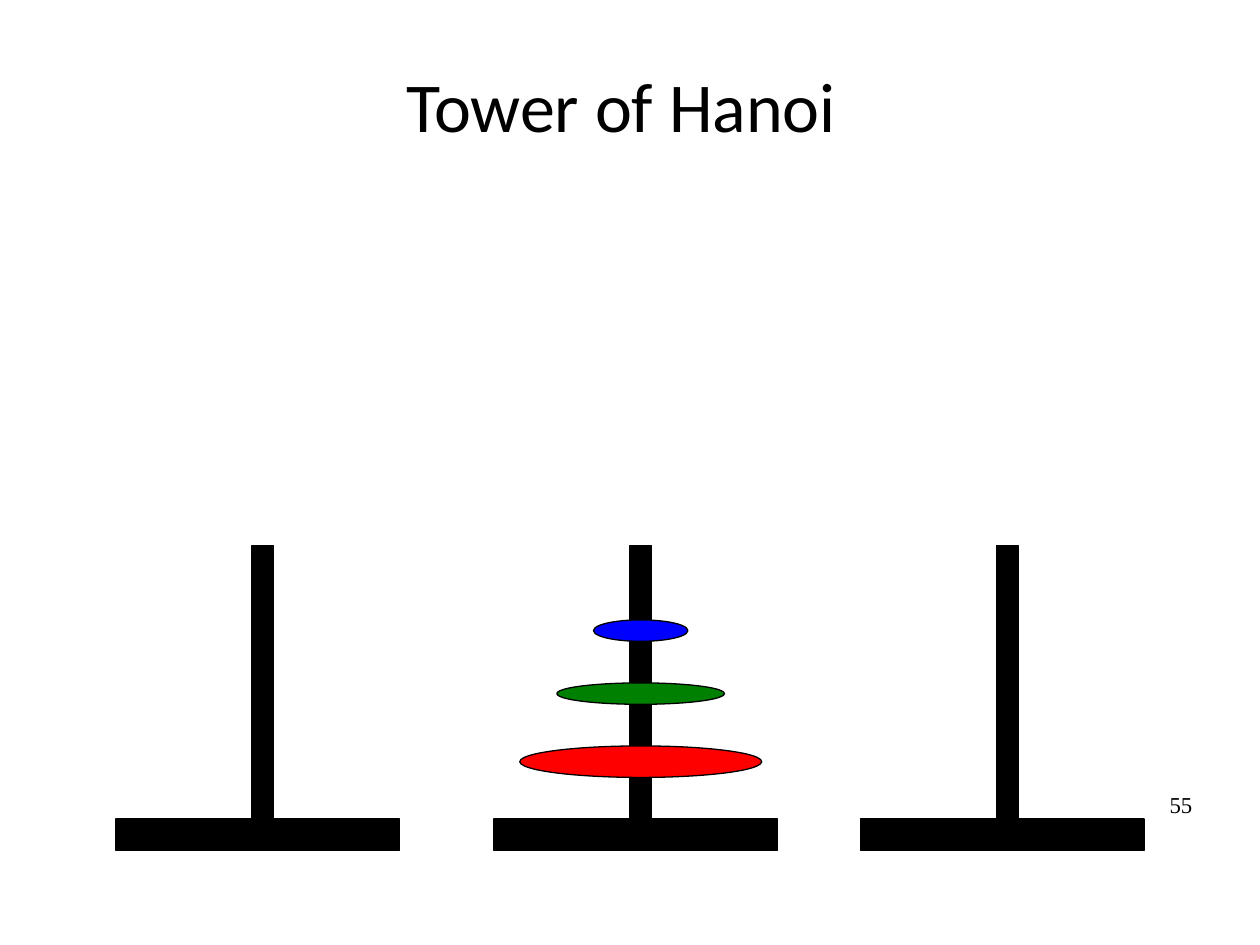
from pptx import Presentation
from pptx.util import Inches, Pt
from pptx.dml.color import RGBColor
from pptx.enum.shapes import MSO_SHAPE as Kind
from pptx.enum.text import MSO_ANCHOR as Anchor, PP_ALIGN as Align

BLACK = RGBColor(0, 0, 0)
RED = RGBColor(255, 0, 0)
GREEN = RGBColor(0, 128, 0)
BLUE = RGBColor(0, 0, 255)

LABELS = [
    ("Tower of Hanoi", (0.5, 0.3, 8.86, 1.12), "Calibri", 40, Align.CENTER, Anchor.MIDDLE, 0.97),
    ("55", (8.89, 6.27, 0.67, 0.57), "Times New Roman", 13, Align.RIGHT, Anchor.TOP, 0.78),
]
TOWERS = [0.92, 3.92, 6.83]
DISKS = [(5.92, 1.92, 0.25, RED), (5.42, 1.33, 0.17, GREEN), (4.92, 0.75, 0.17, BLUE)]
BASE_TOP, BASE_W, BASE_H = 6.5, 2.25, 0.25
POLE_TOP, POLE_W, POLE_IN = 4.33, 0.17, 1.08
MID = TOWERS[1] + POLE_IN + POLE_W / 2


def draw(parent, kind, box, fill):
    shape = parent.add_shape(kind, *map(Inches, box))
    shape.shadow.inherit = False
    shape.fill.solid()
    shape.fill.fore_color.rgb = fill
    shape.line.color.rgb = BLACK
    shape.line.width = Pt(0.75)


def write(shapes, text, box, font, size, align, anchor, space):
    frame = shapes.add_textbox(*map(Inches, box)).text_frame
    frame.word_wrap = True
    frame.vertical_anchor = anchor
    para = frame.paragraphs[0]
    para.text = text
    para.alignment = align
    para.line_spacing = space
    para.font.name = font
    para.font.size = Pt(size)
    para.font.color.rgb = BLACK


def main():
    deck = Presentation()
    deck.slide_width, deck.slide_height = Inches(10), Inches(7.5)
    shapes = deck.slides.add_slide(deck.slide_layouts[6]).shapes
    title, number = LABELS
    write(shapes, *title)
    for left in TOWERS:
        tower = shapes.add_group_shape().shapes
        draw(tower, Kind.RECTANGLE, (left, BASE_TOP, BASE_W, BASE_H), BLACK)
        pole = (left + POLE_IN, POLE_TOP, POLE_W, BASE_TOP - POLE_TOP)
        draw(tower, Kind.RECTANGLE, pole, BLACK)
    for top, width, height, fill in DISKS:
        draw(shapes, Kind.OVAL, (MID - width / 2, top, width, height), fill)
    write(shapes, *number)
    deck.save("out.pptx")


if __name__ == "__main__":
    main()
